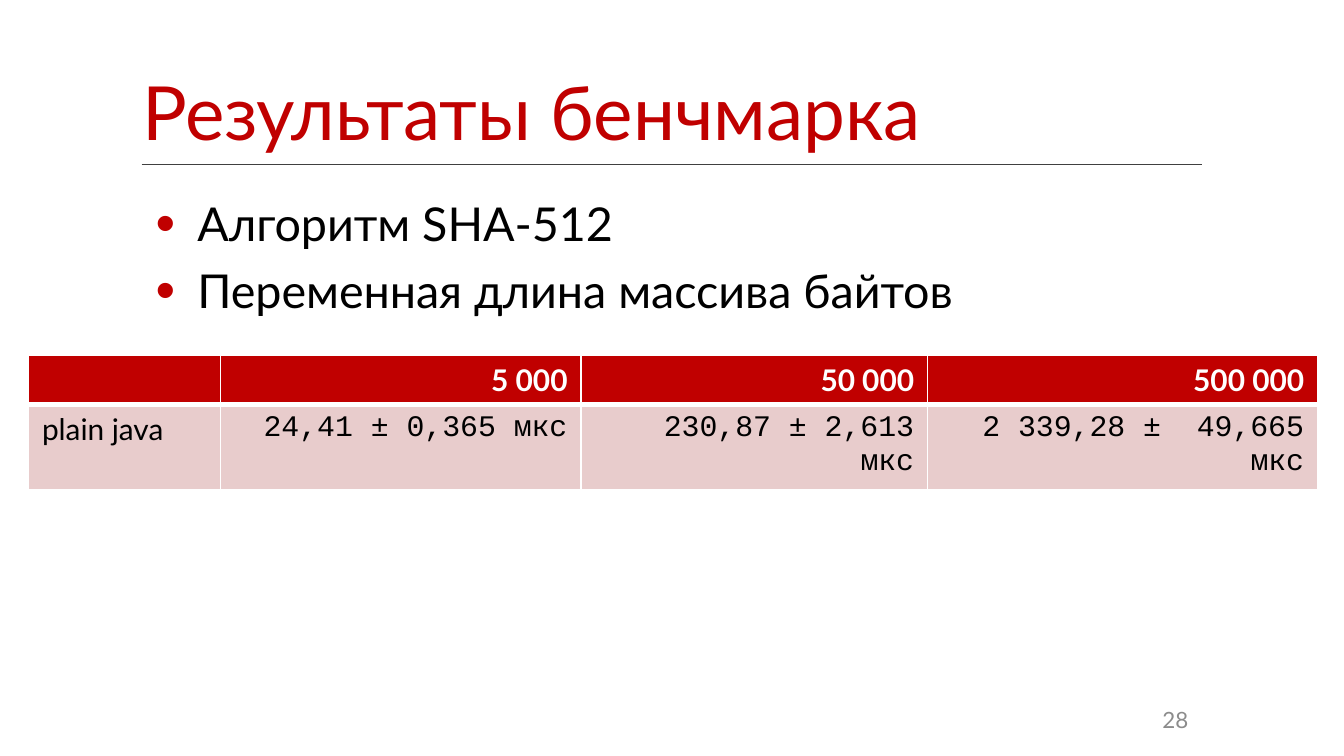
import pptx
import pptx.util
import pptx.dml.color
import pptx.enum.text
import pptx.oxml.ns
from lxml import etree

Cm, Pt = pptx.util.Cm, pptx.util.Pt
ALIGN = pptx.enum.text.PP_ALIGN
ANCHOR = pptx.enum.text.MSO_ANCHOR

# Content
TITLE = "Результаты бенчмарка"
BULLETS = ["Алгоритм SHA-512", "Переменная длина массива байтов"]
RESULTS = [
    ["", "5 000", "50 000", "500 000"],
    ["plain java", "24,41 ± 0,365 мкс", "230,87 ± 2,613 мкс", "2 339,28 ±  49,665 мкс"],
]
PAGE = "28"

COLORS = {"red": "C00000", "pink": "E8CCCC", "white": "FFFFFF",
          "black": "000000", "gray": "8C8C8C", "rule": "404040"}
FONT, MONO = "Lato", "Courier New"

# Layout in cm
LEFT, WIDTH = 2.69, 20.02
COLUMNS = [3.63, 6.81, 6.55, 7.37]
ROWS = [0.94, 1.52]


def rgb(name):
    return pptx.dml.color.RGBColor.from_string(COLORS[name])


def add_xml(parent, tag, **attrs):
    return etree.SubElement(parent, pptx.oxml.ns.qn(tag), attrs)


def style(p, text, size, color, name=FONT, bold=False, align=ALIGN.LEFT):
    p.text = text
    p.alignment = align
    p.font.size, p.font.name, p.font.bold = Pt(size), name, bold
    p.font.color.rgb = rgb(color)
    for r in p.runs:
        r.font.size, r.font.name, r.font.bold = Pt(size), name, bold
        r.font.color.rgb = rgb(color)


def add_text(s, x, y, w, h, anchor):
    tf = s.shapes.add_textbox(Cm(x), Cm(y), Cm(w), Cm(h)).text_frame
    tf.word_wrap = True
    tf.vertical_anchor = anchor
    return tf


def add_grid(s, x, y, widths, heights):
    table = s.shapes.add_table(len(heights), len(widths), Cm(x), Cm(y),
                               Cm(sum(widths)), Cm(sum(heights))).table
    table.first_row = table.horz_banding = False
    for column, w in zip(table.columns, widths):
        column.width = Cm(w)
    for row, h in zip(table.rows, heights):
        row.height = Cm(h)
    return table


def set_cell(cell, fill, **borders):
    """Borders map a side (L, R, T, B) to a colour and a width in points."""
    tc_pr = cell._tc.get_or_add_tcPr()
    for side in "LRTB":
        color, width = borders.get(side, ("white", 1))
        ln = add_xml(tc_pr, f"a:ln{side}", w=str(Pt(width)))
        add_xml(add_xml(ln, "a:solidFill"), "a:srgbClr", val=COLORS[color])
    if fill:
        cell.fill.solid()
        cell.fill.fore_color.rgb = rgb(fill)
    else:
        cell.fill.background()


prs = pptx.Presentation()
prs.slide_width, prs.slide_height = Cm(25.4), Cm(14.29)
s = prs.slides.add_slide(prs.slide_layouts[6])

# Title with a rule below
cell = add_grid(s, LEFT, 1.14, [WIDTH], [1.96]).cell(0, 0)
cell.margin_left = 0
set_cell(cell, None, B=("rule", 0.5))
style(cell.text_frame.paragraphs[0], TITLE, 40, "red")

# Bullets
tf = add_text(s, LEFT, 3.56, WIDTH, 8.2, ANCHOR.TOP)
for i, text in enumerate(BULLETS):
    p = tf.add_paragraph() if i else tf.paragraphs[0]
    style(p, text, 25, "black")
    p.space_before = Pt(6)
    p_pr = p._p.get_or_add_pPr()
    p_pr.set("marL", str(Cm(0.79)))
    p_pr.set("indent", str(-Cm(0.79)))
    bullet = [etree.Element(pptx.oxml.ns.qn(f"a:{tag}"))
              for tag in ("buClr", "buSzPct", "buFont", "buChar")]
    add_xml(bullet[0], "a:srgbClr", val=COLORS["red"])
    bullet[1].set("val", "120000")
    bullet[2].set("typeface", "Arial")
    bullet[3].set("char", "•")
    spacing = p_pr.find(pptx.oxml.ns.qn("a:spcBef"))
    for element in reversed(bullet):
        spacing.addnext(element)

# Page number
tf = add_text(s, 18.21, 13.23, 4.5, 0.76, ANCHOR.MIDDLE)
style(tf.paragraphs[0], PAGE, 12, "gray", align=ALIGN.RIGHT)

# Results
table = add_grid(s, 0.54, 6.71, COLUMNS, ROWS)
for i, row in enumerate(RESULTS):
    header = i == 0
    for j, text in enumerate(row):
        cell = table.cell(i, j)
        edge = {"B": ("white", 3)} if header else {"T": ("white", 3)}
        set_cell(cell, "red" if header else "pink", **edge)
        style(cell.text_frame.paragraphs[0], text, 16,
              "white" if header else "black",
              name=FONT if header or j == 0 else MONO,
              bold=header, align=ALIGN.RIGHT if j else ALIGN.LEFT)

prs.save("out.pptx")
